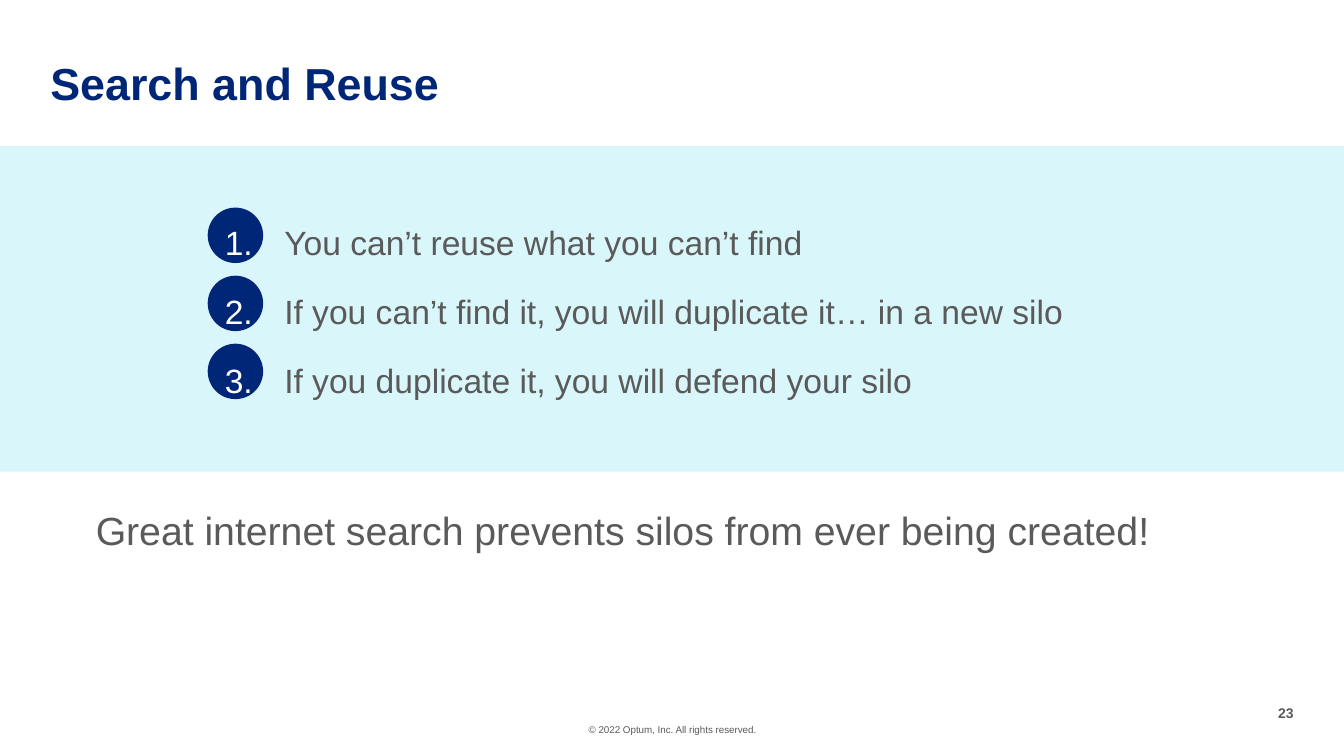
from dataclasses import dataclass

from lxml import etree
from pptx import Presentation
from pptx.dml.color import RGBColor
from pptx.enum import shapes, text
from pptx.oxml.ns import qn
from pptx.util import Inches, Pt


@dataclass(frozen=True)
class Theme:
    font: str = "Arial"
    navy: str = "002677"
    aqua: str = "D9F6FA"
    gray: str = "5A5A5A"
    white: str = "FFFFFF"
    title: int = 32
    closing: int = 28
    body: int = 24
    number: int = 10
    legal: int = 7


THEME = Theme()
LESSONS = (
    "You can’t reuse what you can’t find",
    "If you can’t find it, you will duplicate it… in a new silo",
    "If you duplicate it, you will defend your silo",
)


def add_filled(slide, preset, left, top, width, height, color):
    panel = slide.shapes.add_shape(
        preset, Inches(left), Inches(top), Inches(width), Inches(height))
    panel.shadow.inherit = False
    panel.fill.solid()
    panel.fill.fore_color.rgb = RGBColor.from_string(color)
    panel.line.fill.background()


def add_frame(slide, left, top, width, height, wrap=True):
    frame = slide.shapes.add_textbox(
        Inches(left), Inches(top), Inches(width), Inches(height)).text_frame
    frame.margin_left = frame.margin_right = 0
    frame.margin_top = frame.margin_bottom = 0
    frame.word_wrap = wrap
    return frame


def write(paragraph, wording, size, color=THEME.gray, bold=False,
          align=text.PP_ALIGN.LEFT):
    paragraph.alignment = align
    run = paragraph.add_run()
    run.text = wording
    run.font.name = THEME.font
    run.font.size = Pt(size)
    run.font.bold = bold
    run.font.color.rgb = RGBColor.from_string(color)


def number_paragraph(paragraph, indent, color):
    properties = paragraph._p.get_or_add_pPr()
    properties.set("marL", str(Inches(indent)))
    properties.set("indent", str(-Inches(indent)))
    bullet_color = etree.SubElement(properties, qn("a:buClr"))
    etree.SubElement(bullet_color, qn("a:srgbClr"), val=color)
    etree.SubElement(properties, qn("a:buFont"), typeface=THEME.font)
    etree.SubElement(properties, qn("a:buAutoNum"), type="arabicPeriod")


def add_lessons(slide, lessons):
    for index in range(len(lessons)):
        add_filled(slide, shapes.MSO_SHAPE.OVAL,
                   2.06, 2.06 + index * 0.675, 0.55, 0.55, THEME.navy)
    frame = add_frame(slide, 2.23, 2, 10.6, 2.5)
    for index, lesson in enumerate(lessons):
        paragraph = frame.add_paragraph() if index else frame.paragraphs[0]
        number_paragraph(paragraph, 0.59, THEME.white)
        paragraph.line_spacing = 1.5
        if index:
            paragraph.space_before = Pt(6)
        write(paragraph, lesson, THEME.body)


def main():
    deck = Presentation()
    deck.slide_width, deck.slide_height = Inches(13.33), Inches(7.5)
    slide = deck.slides.add_slide(deck.slide_layouts[6])

    add_filled(slide, shapes.MSO_SHAPE.RECTANGLE, 0, 1.45, 13.33, 3.23, THEME.aqua)

    title = add_frame(slide, 0.5, 0.61, 10.5, 0.48).paragraphs[0]
    title.line_spacing = 0.9
    write(title, "Search and Reuse", THEME.title, THEME.navy, bold=True)

    add_lessons(slide, LESSONS)

    closing = add_frame(slide, 0.95, 5.02, 10.59, 0.47, wrap=False).paragraphs[0]
    write(closing, "Great internet search prevents silos from ever being created!",
          THEME.closing)

    legal = add_frame(slide, 5.14, 7.18, 3.06, 0.12).paragraphs[0]
    write(legal, "© 2022 Optum, Inc. All rights reserved.", THEME.legal,
          align=text.PP_ALIGN.CENTER)

    page = add_frame(slide, 12.66, 6.99, 0.17, 0.17, wrap=False).paragraphs[0]
    write(page, "23", THEME.number, bold=True, align=text.PP_ALIGN.RIGHT)

    deck.save("out.pptx")


if __name__ == "__main__":
    main()
